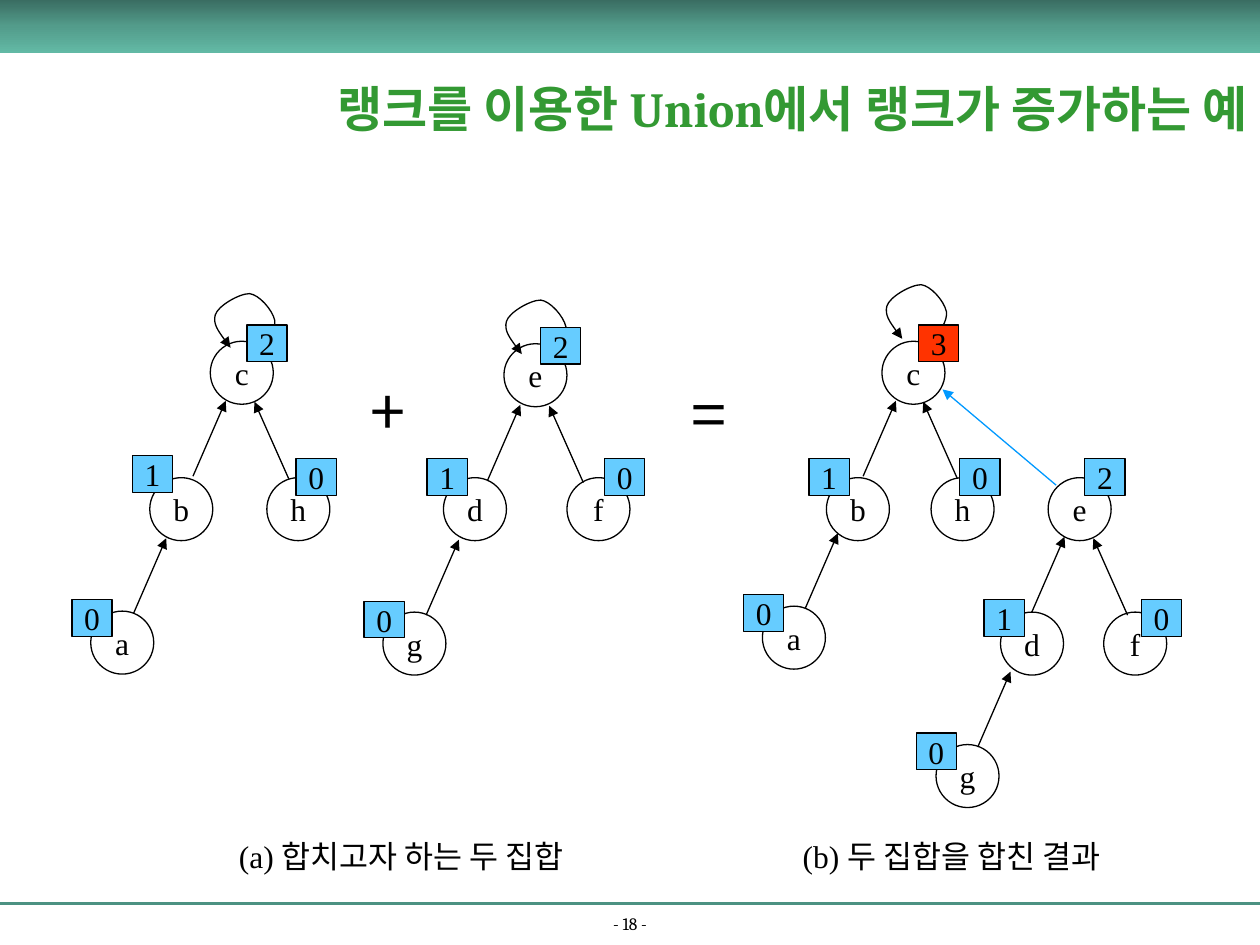
from copy import deepcopy
from lxml.etree import SubElement
from pptx import Presentation
from pptx.dml.color import RGBColor
from pptx.enum.shapes import MSO_CONNECTOR, MSO_SHAPE
from pptx.enum.text import MSO_ANCHOR as ANCHOR, MSO_AUTO_SIZE as FIT, PP_ALIGN as ALIGN
from pptx.oxml.ns import qn
from pptx.util import Cm, Pt

BLACK = RGBColor(0x00, 0x00, 0x00)
GREEN = RGBColor(0x33, 0x99, 0x33)
TEAL = RGBColor(0x4C, 0x92, 0x82)
SKY = RGBColor(0x66, 0xCC, 0xFF)
RED = RGBColor(0xFF, 0x33, 0x00)
BLUE = RGBColor(0x00, 0x99, 0xFF)
BAR = [RGBColor(0x3A, 0x6D, 0x62), RGBColor(0x53, 0x9C, 0x8B), RGBColor(0x62, 0xB9, 0xA5)]
SERIF, HEAD, HANGUL = "Times New Roman", "Cambria", "Noto Sans CJK KR"


def write(sp, text, size=18, name=SERIF, color=BLACK, bold=False,
          align=ALIGN.CENTER, anchor=ANCHOR.MIDDLE, wrap=False):
    tf = sp.text_frame
    for key, value in dict(auto_size=FIT.NONE, word_wrap=wrap, vertical_anchor=anchor).items():
        setattr(tf, key, value)
    p = tf.paragraphs[0]
    p.alignment = align
    r = p.add_run()
    r.text = text
    for key, value in dict(size=Pt(size), name=name, bold=bold).items():
        setattr(r.font, key, value)
    r.font.color.rgb = color
    SubElement(r.font._element, qn("a:ea"), typeface=HANGUL)


def outline(sp, color=BLACK, width=0.75, arrow=False):
    sp.line.color.rgb = color
    sp.line.width = Pt(width)
    if arrow:
        SubElement(sp.line._get_or_add_ln(), qn("a:tailEnd"), type="triangle")
    SubElement(sp._element.spPr, qn("a:effectLst"))


prs = Presentation()
prs.slide_width, prs.slide_height = Cm(25.4), Cm(19.05)
s = prs.slides.add_slide(prs.slide_layouts[5])
shapes = s.shapes

bar = shapes.add_shape(MSO_SHAPE.RECTANGLE, 0, 0, Cm(25.4), Cm(1.07))
bar.shadow.inherit = False
bar.line.fill.background()
bar.fill.gradient()
bar.fill.gradient_angle = 270
stops = bar._element.spPr.find(".//" + qn("a:gsLst"))
stops.insert(1, deepcopy(stops[0]))
for i, (stop, color) in enumerate(zip(bar.fill.gradient_stops, BAR)):
    stop.position = i / 2
    stop.color.rgb = color

rule = shapes.add_connector(MSO_CONNECTOR.STRAIGHT, 0, Cm(18.21), Cm(25.4), Cm(18.21))
outline(rule, TEAL, 1.5)

title = shapes.title
title.left, title.top, title.width, title.height = Cm(3.84), Cm(1.09), Cm(21.56), Cm(2.16)
write(title, "랭크를 이용한 Union에서 랭크가 증가하는 예", 28, HEAD, GREEN, True,
      ALIGN.RIGHT, wrap=True)

LOOP = [(0.9, 1.22), (1.1, 0.97), (1.28, 0.74), (1.25, 0.54), (1.2, 0.32), (0.93, 0.02),
        (0.74, 0), (0.53, 0), (0.1, 0.25), (0.05, 0.43), (0, 0.61), (0.18, 0.86), (0.36, 1.09)]
for x, y in [(4.29, 5.92), (10.16, 6.05), (17.83, 5.74)]:
    points = [(Cm(x + dx), Cm(y + dy)) for dx, dy in LOOP]
    builder = shapes.build_freeform(*points[0])
    builder.add_line_segments(points[1:], close=False)
    loop = builder.convert_to_shape()
    loop.fill.background()
    outline(loop, arrow=True)
    outline_path = loop._element.spPr.find(".//" + qn("a:path"))
    segments = outline_path.findall(qn("a:lnTo"))
    for i in range(0, len(segments), 3):
        curve = SubElement(outline_path, qn("a:cubicBezTo"))
        for segment in segments[i:i + 3]:
            curve.append(segment[0])
            outline_path.remove(segment)

NODES = [
    ("c", 4.24, 6.88, "2", 4.98, 6.55),
    ("b", 3.02, 9.63, "1", 2.67, 9.19),
    ("h", 5.38, 9.63, "0", 5.97, 9.25),
    ("a", 1.83, 12.32, "0", 1.45, 12.09),
    ("e", 10.16, 6.93, "2", 10.9, 6.6),
    ("d", 8.94, 9.63, "1", 8.61, 9.25),
    ("f", 11.43, 9.63, "0", 12.19, 9.25),
    ("g", 7.72, 12.34, "0", 7.34, 12.12),
    ("c", 17.78, 6.88, "3", 18.52, 6.55),
    ("b", 16.66, 9.63, "1", 16.31, 9.25),
    ("h", 18.77, 9.63, "0", 19.35, 9.25),
    ("e", 21.13, 9.63, "2", 21.87, 9.25),
    ("a", 15.37, 12.22, "0", 14.99, 11.99),
    ("d", 20.17, 12.34, "1", 19.84, 12.09),
    ("f", 22.25, 12.34, "0", 23.01, 12.09),
    ("g", 18.87, 15.01, "0", 18.47, 14.78),
]
for name, x, y, rank, rank_x, rank_y in NODES:
    node = shapes.add_shape(MSO_SHAPE.OVAL, Cm(x), Cm(y), Cm(1.27), Cm(1.27))
    node.fill.background()
    box = shapes.add_shape(MSO_SHAPE.RECTANGLE, Cm(rank_x), Cm(rank_y), Cm(0.81), Cm(0.74))
    box.fill.solid()
    box.fill.fore_color.rgb = RED if rank == "3" else SKY
    for sp, text in [(node, name), (box, rank)]:
        outline(sp)
        write(sp, text)

RIGHTWARD = [(3.89, 9.6), (2.69, 12.37), (9.83, 9.68), (8.59, 12.4),
             (17.4, 9.6), (16.23, 12.27), (20.8, 12.34), (19.71, 15.06)]
LEFTWARD = [(5.82, 9.65), (11.76, 9.73), (19.3, 9.65), (22.73, 12.4)]
EDGE_GROUPS = [(RIGHTWARD, 0.66, -1.52, BLACK), (LEFTWARD, -0.69, -1.55, BLACK),
               ([(21.29, 9.78)], -2.29, -1.93, BLUE)]
for starts, dx, dy, color in EDGE_GROUPS:
    for x, y in starts:
        edge = shapes.add_connector(MSO_CONNECTOR.STRAIGHT, Cm(x), Cm(y), Cm(x + dx), Cm(y + dy))
        outline(edge, color, arrow=True)

SIGN = dict(size=36, name=HANGUL, align=ALIGN.LEFT, anchor=ANCHOR.TOP)
CAPTION = dict(anchor=ANCHOR.TOP, wrap=True)
LABELS = [
    ("+", 7.21, 7.39, 1.3, 1.78, SIGN),
    ("=", 13.69, 7.44, 1.3, 1.78, SIGN),
    ("(a) 합치고자 하는 두 집합", 3.38, 16.74, 9.42, 1.02, CAPTION),
    ("(b) 두 집합을 합친 결과", 15.93, 16.74, 7.49, 1.02, dict(CAPTION, align=ALIGN.LEFT)),
    ("- 18 -", 0, 18.39, 25.4, 0.56, dict(size=10, name=HEAD, anchor=ANCHOR.BOTTOM, wrap=True)),
]
for text, x, y, w, h, style in LABELS:
    label = shapes.add_textbox(Cm(x), Cm(y), Cm(w), Cm(h))
    write(label, text, **style)

prs.save("out.pptx")
